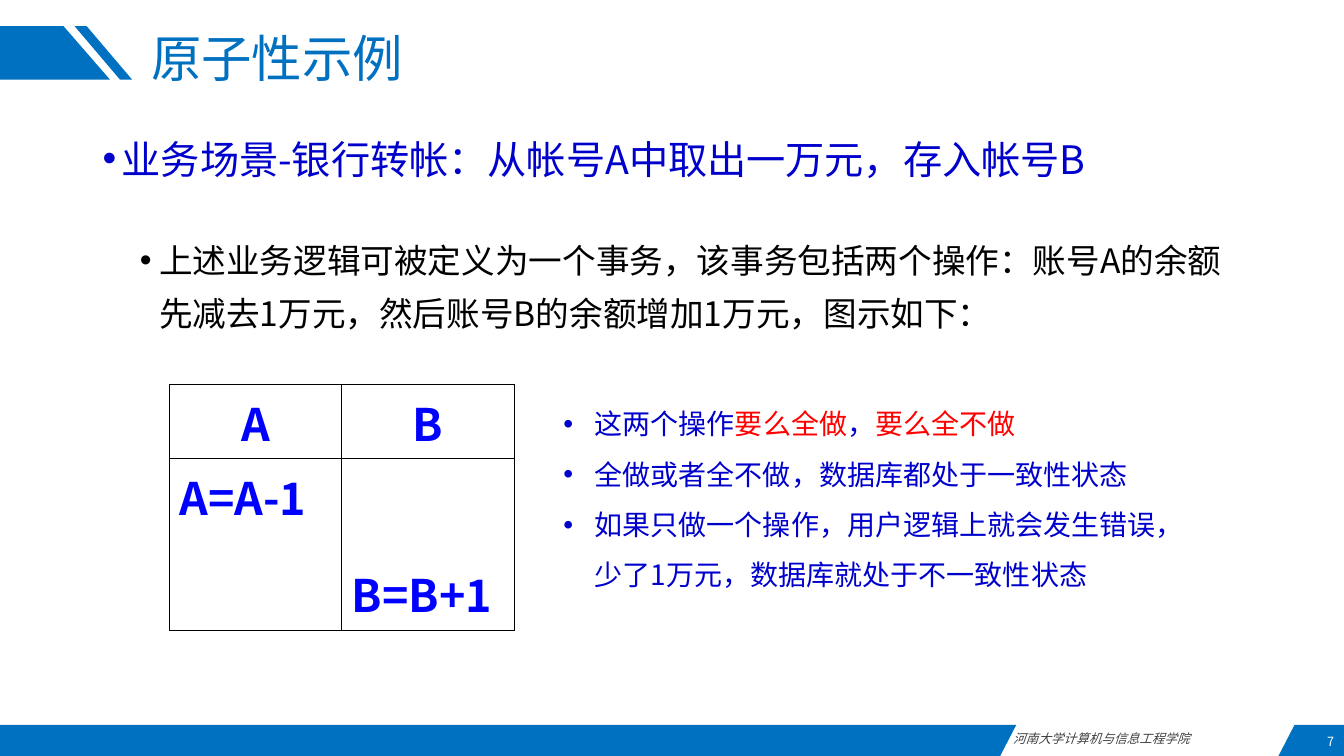
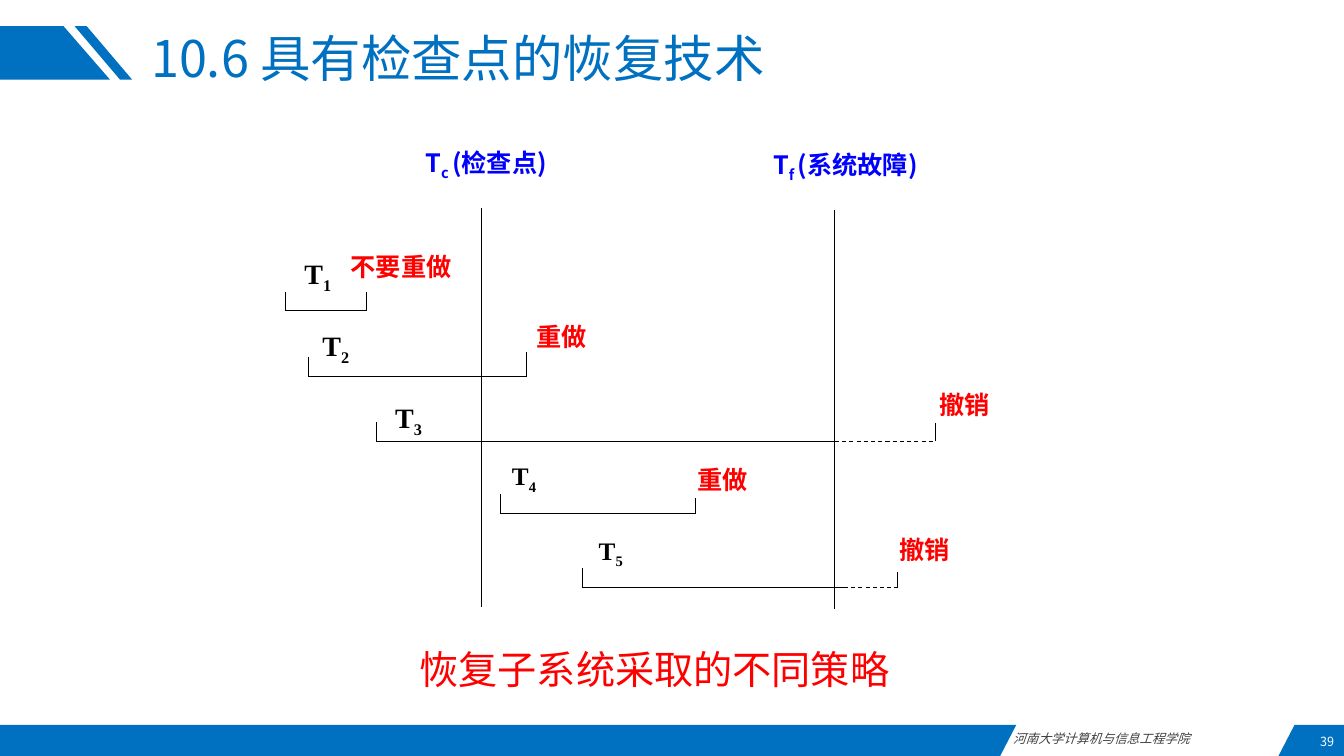
from collections import namedtuple

from lxml import etree
from pptx import Presentation
from pptx.dml.color import RGBColor
from pptx.enum.dml import MSO_LINE
from pptx.enum.shapes import MSO_CONNECTOR
from pptx.enum.text import MSO_ANCHOR as Anchor, PP_ALIGN as Align
from pptx.oxml.ns import qn
from pptx.util import Inches, Pt

# Shared look
WIDTH, HEIGHT = 13.33, 7.5
SANS, SERIF = "Noto Sans CJK SC", "Times New Roman"
BRAND, WHITE, BLACK, GREY = "0070C0", "FFFFFF", "000000", "404040"
NAVY, BLUE, RED = "0000CC", "0000FF", "FF0000"
LEADING = 1.3  # line height as a share of the text size
SCHOOL = "河南大学计算机与信息工程学院"

Style = namedtuple("Style", "size color bold italic face", defaults=(False, False, SANS))
TITLE = Style(36, BRAND)
LABEL = Style(18, BLUE, True)
VERDICT = Style(18, RED, True)


def rgb(hex_code):
    return RGBColor.from_string(hex_code)


# Text
def format_run(run, style, color=None, subscript=False):
    font = run.font
    font.size, font.bold, font.italic = Pt(style.size), style.bold, style.italic
    font.color.rgb = rgb(color or style.color)
    font.name = style.face
    properties = run._r.get_or_add_rPr()
    etree.SubElement(properties, qn("a:ea")).set("typeface", style.face)
    if subscript:
        properties.set("baseline", "-25000")


def write(paragraph, text, style, align=Align.LEFT, leading=LEADING):
    paragraph.text = text
    paragraph.alignment = align
    if leading:
        paragraph.line_spacing = Pt(style.size * leading)
    for run in paragraph.runs:
        format_run(run, style)


def add_part(paragraph, text, style, **changes):
    run = paragraph.add_run()
    run.text = text
    format_run(run, style, **changes)


def set_bullet(paragraph, left, hanging):
    properties = paragraph._p.get_or_add_pPr()
    properties.set("marL", str(Inches(left)))
    properties.set("indent", str(-Inches(hanging)))
    etree.SubElement(properties, qn("a:buFont")).set("typeface", "Arial")
    etree.SubElement(properties, qn("a:buChar")).set("char", "•")


def add_frame(slide, left, top, width, height, anchor=Anchor.TOP):
    frame = slide.shapes.add_textbox(*map(Inches, (left, top, width, height))).text_frame
    frame.word_wrap = True
    frame.vertical_anchor = anchor
    return frame


def add_text(slide, box, text, style, align=Align.LEFT, anchor=Anchor.TOP, leading=LEADING):
    paragraph = add_frame(slide, *box, anchor=anchor).paragraphs[0]
    write(paragraph, text, style, align, leading)
    return paragraph


# Lines and outlines
def add_outline(slide, points):
    corners = [(Inches(x), Inches(y)) for x, y in points]
    builder = slide.shapes.build_freeform(*corners[0])
    builder.add_line_segments(corners[1:], close=True)
    band = builder.convert_to_shape()
    band.shadow.inherit = False
    band.fill.solid()
    band.fill.fore_color.rgb = rgb(BRAND)
    band.line.fill.background()


def add_rule(slide, x1, y1, x2, y2, weight=0.75, dashed=False):
    rule = slide.shapes.add_connector(MSO_CONNECTOR.STRAIGHT, *map(Inches, (x1, y1, x2, y2)))
    rule.line.color.rgb = rgb(BLACK)
    rule.line.width = Pt(weight)
    if dashed:
        rule.line.dash_style = MSO_LINE.DASH
    etree.SubElement(rule._element.spPr, qn("a:effectLst"))


# Frame that every slide shares
def add_header(slide, title, top=0.26, height=0.53):
    bottom = top + height
    add_outline(slide, [(0, top), (0.63, top), (1.09, bottom), (0, bottom)])
    add_outline(slide, [(0.74, top), (0.86, top), (1.31, bottom), (1.19, bottom)])
    add_text(slide, (1.4, top, 10.45, 0.56), title, TITLE, anchor=Anchor.MIDDLE)


def add_footer(slide, number, top=7.19, slant=0.16):
    add_outline(slide, [(0, top), (10.08, top), (10.08 - slant, HEIGHT), (0, HEIGHT)])
    add_outline(slide, [(12.68 + slant, top), (WIDTH, top), (WIDTH, HEIGHT), (12.68, HEIGHT)])
    add_text(slide, (9.95, top, 2.73, 0.25), SCHOOL, Style(9, GREY, italic=True))
    add_text(slide, (11.94, 7.2, 1.39, 0.3), str(number), Style(9, WHITE),
             Align.RIGHT, Anchor.MIDDLE)


def start_slide(deck, title, number):
    slide = deck.slides.add_slide(deck.slide_layouts[6])
    add_header(slide, title)
    add_footer(slide, number)
    return slide


# Atomicity example
def add_scenario(slide, box):
    frame = add_frame(slide, *box)
    scene, logic = frame.paragraphs[0], frame.add_paragraph()
    set_bullet(scene, 0.19, 0.19)
    write(scene, "业务场景-银行转帐：从帐号A中取出一万元，存入帐号B", Style(28, NAVY))
    set_bullet(logic, 0.56, 0.19)
    write(logic, "上述业务逻辑可被定义为一个事务，该事务包括两个操作：账号A的余额先减去1万元，"
                 "然后账号B的余额增加1万元，图示如下：", Style(24, BLACK), leading=1.58)
    logic.space_before = Pt(32)


def border_cell(cell):
    cell.fill.background()
    properties = cell._tc.get_or_add_tcPr()
    for index, side in enumerate(("lnL", "lnR", "lnT", "lnB")):
        edge = etree.Element(qn("a:" + side), w=str(Pt(0.75)))
        fill = etree.SubElement(edge, qn("a:solidFill"))
        etree.SubElement(fill, qn("a:srgbClr")).set("val", BLACK)
        properties.insert(index, edge)


def add_accounts(slide, left, top, column=1.71, rows=(0.74, 1.71)):
    steps = [("A", "B"), ("A=A-1", "B=B+1")]
    size = map(Inches, (left, top, 2 * column, sum(rows)))
    table = slide.shapes.add_table(2, 2, *size).table
    table.first_row = table.horz_banding = False
    for table_column in table.columns:
        table_column.width = Inches(column)
    for r, texts in enumerate(steps):
        table.rows[r].height = Inches(rows[r])
        for c, text in enumerate(texts):
            cell = table.cell(r, c)
            write(cell.text_frame.paragraphs[0], text, Style(32, BLUE, True),
                  Align.LEFT if r else Align.CENTER, leading=None)
            border_cell(cell)
    # The second step happens later, so it sits lower
    table.cell(1, 1).vertical_anchor = Anchor.BOTTOM


def add_conclusions(slide, box):
    style = Style(20, NAVY)
    points = [
        [("这两个操作", NAVY), ("要么全做", RED), ("，", NAVY), ("要么全不做", RED)],
        [("全做或者全不做，数据库都处于一致性状态", NAVY)],
        [("如果只做一个操作，用户逻辑上就会发生错误，少了1万元，数据库就处于不一致性状态", NAVY)],
    ]
    frame = add_frame(slide, *box)
    for index, parts in enumerate(points):
        paragraph = frame.add_paragraph() if index else frame.paragraphs[0]
        set_bullet(paragraph, 0.31, 0.31)
        paragraph.line_spacing = Pt(36)
        for text, color in parts:
            add_part(paragraph, text, style, color=color)


def build_atomicity(deck):
    slide = start_slide(deck, "原子性示例", 7)
    add_scenario(slide, (0.92, 1.25, 11.5, 2.2))
    add_accounts(slide, 1.68, 3.81)
    add_conclusions(slide, (5.49, 3.82, 6.17, 2.06))


# Recovery with checkpoints: offsets from the corner of the timeline
Span = namedtuple("Span", "start end level ticks name_at name_size verdict verdict_at cut",
                  defaults=(None,))
SPANS = [
    Span(0.03, 0.84, 1.68, (0.18, 0.18), (0.12, 1.1), 20, "不要重做", (0.58, 1.02)),
    Span(0.26, 2.42, 2.34, (0.2, 0.25), (0.3, 1.81), 20, "重做", (2.42, 1.71)),
    Span(0.93, 6.48, 2.98, (0.19, 0.18), (1.02, 2.52), 20, "撤销", (6.42, 2.39), 5.48),
    Span(2.16, 4.1, 3.69, (0.19, 0.15), (2.18, 3.12), 18, "重做", (4.02, 3.13)),
    Span(2.98, 6.1, 4.43, (0.19, 0.16), (3.04, 3.86), 18, "撤销", (6.02, 3.83), 5.57),
]


def add_moment(slide, x, y, label_left, label_width, sub, meaning):
    add_rule(slide, x, y + 0.66, x, y + 4.62, weight=0.5)
    label = add_text(slide, (label_left, y, label_width, 0.73), "T", LABEL,
                     Align.JUSTIFY, leading=1.4)
    add_part(label, sub + " ", LABEL, subscript=True)
    add_part(label, meaning, LABEL)


def add_span(slide, left, top, number, span):
    start, end, level = left + span.start, left + span.end, top + span.level
    solid_end = left + span.cut if span.cut else end
    add_rule(slide, start, level, solid_end, level)
    if span.cut:
        add_rule(slide, solid_end, level, end, level, dashed=True)
    for x, tick in zip((start, end), span.ticks):
        add_rule(slide, x, level - tick, x, level)
    style = Style(span.name_size, BLACK, True, face=SERIF)
    (name_x, name_y), (verdict_x, verdict_y) = span.name_at, span.verdict_at
    name = add_text(slide, (left + name_x, top + name_y, 0.8, 0.5), "T", style, leading=None)
    add_part(name, str(number), style, subscript=True)
    add_text(slide, (left + verdict_x, top + verdict_y, 1.56, 0.5), span.verdict, VERDICT)


def add_timeline(slide, left, top):
    add_moment(slide, left + 1.97, top, left + 1.32, 1.56, "c", "(检查点)")
    add_moment(slide, left + 5.48, top + 0.02, left + 4.77, 1.71, "f", "(系统故障)")
    for number, span in enumerate(SPANS, 1):
        add_span(slide, left, top, number, span)


def build_recovery(deck):
    slide = start_slide(deck, "10.6 具有检查点的恢复技术", 39)
    add_timeline(slide, 2.8, 1.4)
    add_text(slide, (3.5, 6.31, 5.98, 0.57), "恢复子系统采取的不同策略",
             Style(28, RED), Align.CENTER)


def main():
    deck = Presentation()
    deck.slide_width, deck.slide_height = Inches(WIDTH), Inches(HEIGHT)
    build_atomicity(deck)
    build_recovery(deck)
    deck.save("out.pptx")


if __name__ == "__main__":
    main()
